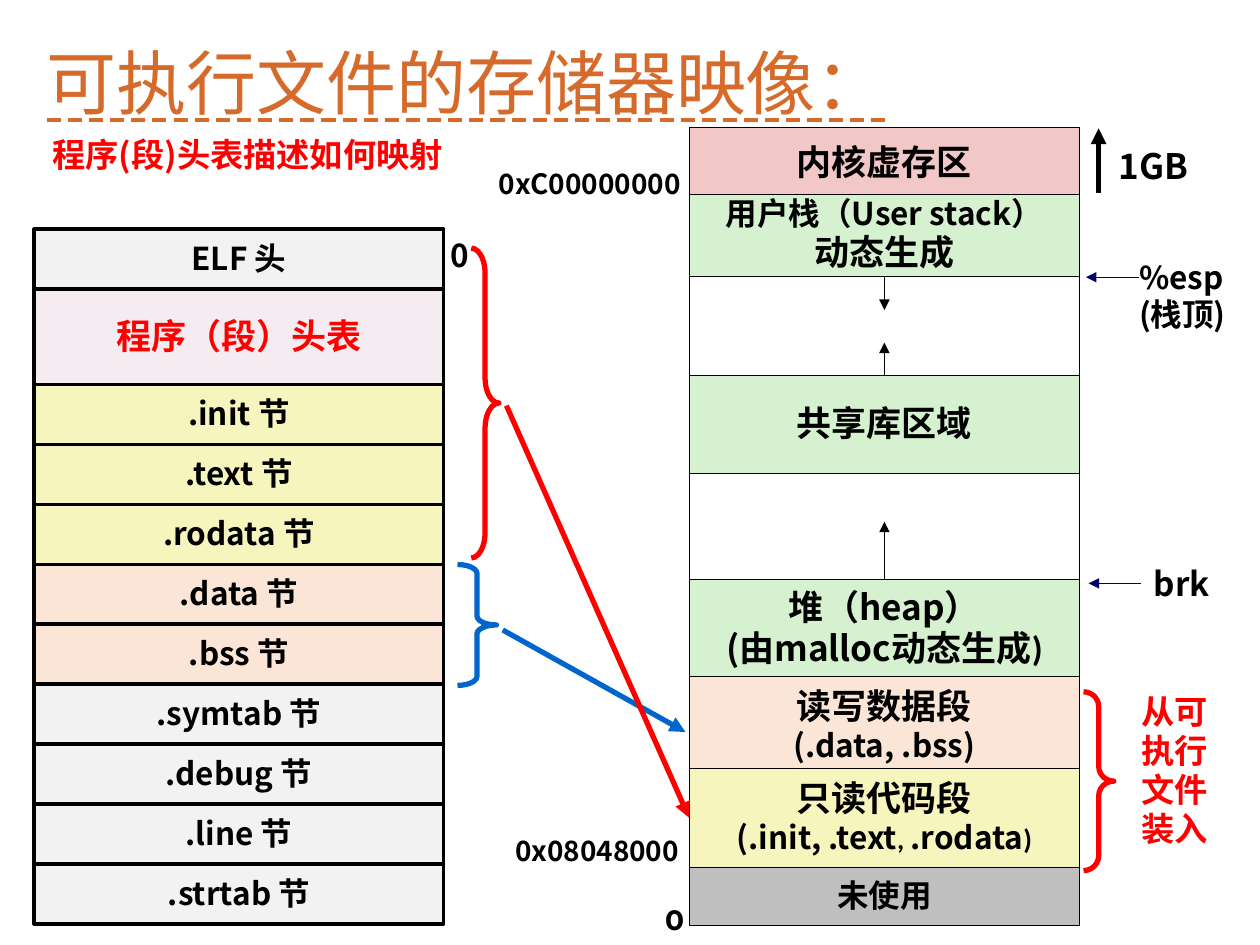
from lxml import etree
from pptx import Presentation
from pptx.dml.color import RGBColor
from pptx.enum.shapes import MSO_CONNECTOR, MSO_SHAPE
from pptx.enum.text import MSO_ANCHOR, MSO_AUTO_SIZE, MSO_UNDERLINE, PP_ALIGN
from pptx.oxml.ns import qn
from pptx.util import Pt

STRAIGHT = MSO_CONNECTOR.STRAIGHT
RECTANGLE, BRACE = MSO_SHAPE.RECTANGLE, MSO_SHAPE.RIGHT_BRACE
LEFT, CENTER = PP_ALIGN.LEFT, PP_ALIGN.CENTER
TOP, MIDDLE, BOTTOM = MSO_ANCHOR.TOP, MSO_ANCHOR.MIDDLE, MSO_ANCHOR.BOTTOM
NO_AUTOSIZE = MSO_AUTO_SIZE.NONE
DASHED_UNDERLINE = MSO_UNDERLINE.DASH_LINE
SIDE_TOP, SIDE_LEFT, SIDE_BOTTOM = 0, 1, 2

SANS, CALIBRI, MONTSERRAT = "Noto Sans CJK SC", "Calibri", "Montserrat"

BLACK = RGBColor(0x00, 0x00, 0x00)
WHITE = RGBColor(0xFF, 0xFF, 0xFF)
RED = RGBColor(0xFF, 0x00, 0x00)
BLUE = RGBColor(0x00, 0x66, 0xCC)
NAVY = RGBColor(0x00, 0x00, 0x66)
ORANGE = RGBColor(0xD6, 0x6A, 0x2B)
PINK = RGBColor(0xF1, 0xC7, 0xC7)
GREEN = RGBColor(0xD5, 0xF1, 0xCF)
PEACH = RGBColor(0xFB, 0xE5, 0xD6)
YELLOW = RGBColor(0xF6, 0xF5, 0xBD)
LIGHT_GRAY = RGBColor(0xF2, 0xF2, 0xF2)
GRAY = RGBColor(0xBF, 0xBF, 0xBF)
PLUM = RGBColor(0x99, 0x33, 0x66)

# ELF file: the rows that follow the ELF header and the program header table
SECTIONS = [
    (".init 节", YELLOW), (".text 节", YELLOW), (".rodata 节", YELLOW),
    (".data 节", PEACH), (".bss 节", PEACH),
    (".symtab 节", LIGHT_GRAY), (".debug 节", LIGHT_GRAY),
    (".line 节", LIGHT_GRAY), (".strtab 节", LIGHT_GRAY),
]
FILE_LEFT, FILE_TOP, FILE_WIDTH = 19.5, 131, 234
ROW_HEIGHT, HEADER_TABLE_HEIGHT = 34.25, 54.5

# Memory image: key, top, height, fill, lines; a line is a list of (text, size, font)
REGIONS = [
    ("kernel", 72.7, 41, PINK, [[("内核虚存区", 20, SANS)]]),
    ("stack", 110.9, 46.8, GREEN, [[("用户栈（User stack）", 18, SANS)],
                                   [("动态生成", 20, CALIBRI)]]),
    ("stack gap", 157.7, 56.8, WHITE, []),
    ("shared", 214.5, 56.2, GREEN, [[("共享库区域", 20, SANS)]]),
    ("heap gap", 270.7, 60.5, WHITE, []),
    ("heap", 331.2, 56.2, GREEN, [[("堆（heap）", 20, SANS)],
                                  [("(由malloc动态生成", 20, SANS), (")", 20, CALIBRI)]]),
    ("data", 386.6, 56.2, PEACH, [[("读写数据段", 20, SANS)],
                                  [("(.data, .bss)", 18, SANS)]]),
    ("code", 439.2, 56.2, YELLOW, [[("只读代码段", 20, SANS)],
                                   [("(.init, .text", 18, SANS), (", ", 16, CALIBRI),
                                    (".rodata", 18, SANS), (")", 16, CALIBRI)]]),
    ("unused", 495.4, 33.1, GRAY, [[("未使用", 18, SANS)]]),
]
MEMORY_LEFT, MEMORY_WIDTH = 393.8, 223.2

# left, top, width, height, text lines, size, font, colour, wrap, side inset, line spacing
LABELS = [
    (250.6, 132.5, 25.2, 28.8, ["0"], 18, SANS, BLACK, True, 7.2, 0.98),
    (650.9, 144.7, 57.6, 49, ["%esp", "(栈顶)"], 18, SANS, BLACK, True, 0, 0.98),
    (652.3, 320.4, 60, 28.8, ["brk"], 19, SANS, BLACK, True, 7.2, 0.94),
    (278, 92.9, 123, 25.2, ["0xC00000000"], 16, SANS, BLACK, False, 7.2, 0.94),
    (287.3, 474.5, 112.3, 25.2, ["0x08048000"], 16, SANS, BLACK, False, 7.2, 0.94),
    (373, 513.4, 25.2, 25.9, ["0"], 16, MONTSERRAT, BLACK, False, 7.2, 0.98),
    (645.1, 392.4, 59, 96.5, ["从可执行文件装入"], 19, CALIBRI, RED, True, 7.2, 0.98),
    (23, 73.4, 257, 30.2, ["程序(段)头表描述如何映射"], 19, SANS, RED, True, 7.2, 1.0),
    (632.2, 79.2, 66.2, 31, ["1GB"], 20, SANS, BLACK, True, 7.2, 1.0),
]


def set_font(font, properties, size, name):
    font.size, font.name = Pt(size), name
    etree.SubElement(properties, qn("a:ea")).set("typeface", SANS)


def write_lines(frame, lines, color, align, spacing=0.98):
    for index, line in enumerate(lines):
        paragraph = frame.add_paragraph() if index else frame.paragraphs[0]
        paragraph.alignment, paragraph.line_spacing = align, spacing
        base = line[0][1:]
        paragraph.font.bold = True
        paragraph.font.color.rgb = color
        set_font(paragraph.font, paragraph._p.pPr.find(qn("a:defRPr")), *base)
        for text, size, name in line:
            run = paragraph.add_run()
            run.text = text
            if (size, name) != base:
                set_font(run.font, run._r.get_or_add_rPr(), size, name)


def add_block(slide, left, top, width, height, fill, lines, border, color=BLACK):
    block = slide.shapes.add_shape(RECTANGLE, Pt(left), Pt(top), Pt(width), Pt(height))
    block.shadow.inherit = False
    block.fill.solid()
    block.fill.fore_color.rgb = fill
    block.line.color.rgb = BLACK
    block.line.width = Pt(border)
    block.text_frame.word_wrap = False
    block.text_frame.vertical_anchor = MIDDLE
    write_lines(block.text_frame, lines, color, CENTER)
    return block


def add_label(slide, left, top, width, height, texts, size, font, color, wrap, inset, spacing):
    frame = slide.shapes.add_textbox(Pt(left), Pt(top), Pt(width), Pt(height)).text_frame
    frame.word_wrap = wrap
    frame.vertical_anchor = TOP
    frame.margin_left = frame.margin_right = Pt(inset)
    write_lines(frame, [[(text, size, font)] for text in texts], color, LEFT, spacing)


def add_arrow(slide, start, end, color, width):
    arrow = slide.shapes.add_connector(STRAIGHT, *(Pt(value) for value in start + end))
    arrow.line.color.rgb = color
    arrow.line.width = Pt(width)
    etree.SubElement(arrow.line._get_or_add_ln(), qn("a:tailEnd")).set("type", "triangle")
    etree.SubElement(arrow._element.spPr, qn("a:effectLst"))
    return arrow


def add_brace(slide, left, top, width, height, curve, color):
    brace = slide.shapes.add_shape(BRACE, Pt(left), Pt(top), Pt(width), Pt(height))
    brace.shadow.inherit = False
    brace.adjustments[0] = curve
    brace.fill.background()
    brace.line.color.rgb = color
    brace.line.width = Pt(3)


def add_title(slide, text):
    title = slide.shapes.title
    title.left, title.top, title.width, title.height = Pt(19.5), Pt(15), Pt(597.6), Pt(59.8)
    frame = title.text_frame
    frame.auto_size, frame.vertical_anchor = NO_AUTOSIZE, BOTTOM
    write_lines(frame, [[(text, 40, SANS)]], ORANGE, LEFT, 0.9)
    font = frame.paragraphs[0].font
    font.bold, font.underline = False, DASHED_UNDERLINE


def add_elf_file(slide):
    def row(top, height, fill, text, size=18, color=BLACK):
        return add_block(slide, FILE_LEFT, top, FILE_WIDTH, height, fill,
                         [[(text, size, SANS)]], 2, color)

    row(FILE_TOP, ROW_HEIGHT, LIGHT_GRAY, "ELF 头")
    table_top = FILE_TOP + ROW_HEIGHT
    header_table = row(table_top, HEADER_TABLE_HEIGHT, PLUM, "程序（段）头表", 20, RED)
    tint = header_table._element.spPr.find(qn("a:solidFill"))[0]
    etree.SubElement(tint, qn("a:alpha")).set("val", "9000")
    sections_top = table_top + HEADER_TABLE_HEIGHT
    for index, (text, fill) in enumerate(SECTIONS):
        row(sections_top + index * ROW_HEIGHT, ROW_HEIGHT, fill, text)


def main():
    presentation = Presentation()
    presentation.slide_width, presentation.slide_height = Pt(720), Pt(540)
    slide = presentation.slides.add_slide(presentation.slide_layouts[5])
    add_title(slide, "可执行文件的存储器映像：")

    # File on the left, memory image on the right
    add_elf_file(slide)
    regions = {
        key: add_block(slide, MEMORY_LEFT, top, MEMORY_WIDTH, height, fill, lines, 0.25)
        for key, top, height, fill, lines in REGIONS
    }

    # Directions in which the regions grow
    middle = MEMORY_LEFT + MEMORY_WIDTH / 2
    for key, side, start, end in [("stack", SIDE_BOTTOM, 157.7, 177.1),
                                  ("shared", SIDE_TOP, 214.5, 195.8),
                                  ("heap", SIDE_TOP, 331.2, 298.1)]:
        growth = add_arrow(slide, (middle, start), (middle, end), BLACK, 0.25)
        growth.begin_connect(regions[key], side)
    add_arrow(slide, (627.8, 110.2), (627.8, 73.4), BLACK, 3)

    # Pointers %esp and brk
    add_arrow(slide, (650.9, 158.4), (620.6, 158.4), NAVY, 0.25)
    add_arrow(slide, (652.3, 333.4), (622.1, 333.4), NAVY, 0.25)

    # Mapping of sections to segments
    add_brace(slide, 619.2, 395.3, 17.3, 102.2, 0.49, RED)
    add_arrow(slide, (287.3, 360), (391.7, 418.3), BLUE, 3)
    add_brace(slide, 261.4, 322.6, 22.3, 69.1, 0.23, BLUE)
    code_mapping = add_arrow(slide, (289.4, 231.8), (393.8, 467.3), RED, 3)
    code_mapping.end_connect(regions["code"], SIDE_LEFT)
    add_brace(slide, 269.3, 141.8, 15.8, 177.1, 0.92, RED)

    for label in LABELS:
        add_label(slide, *label)
    presentation.save("out.pptx")


if __name__ == "__main__":
    main()
